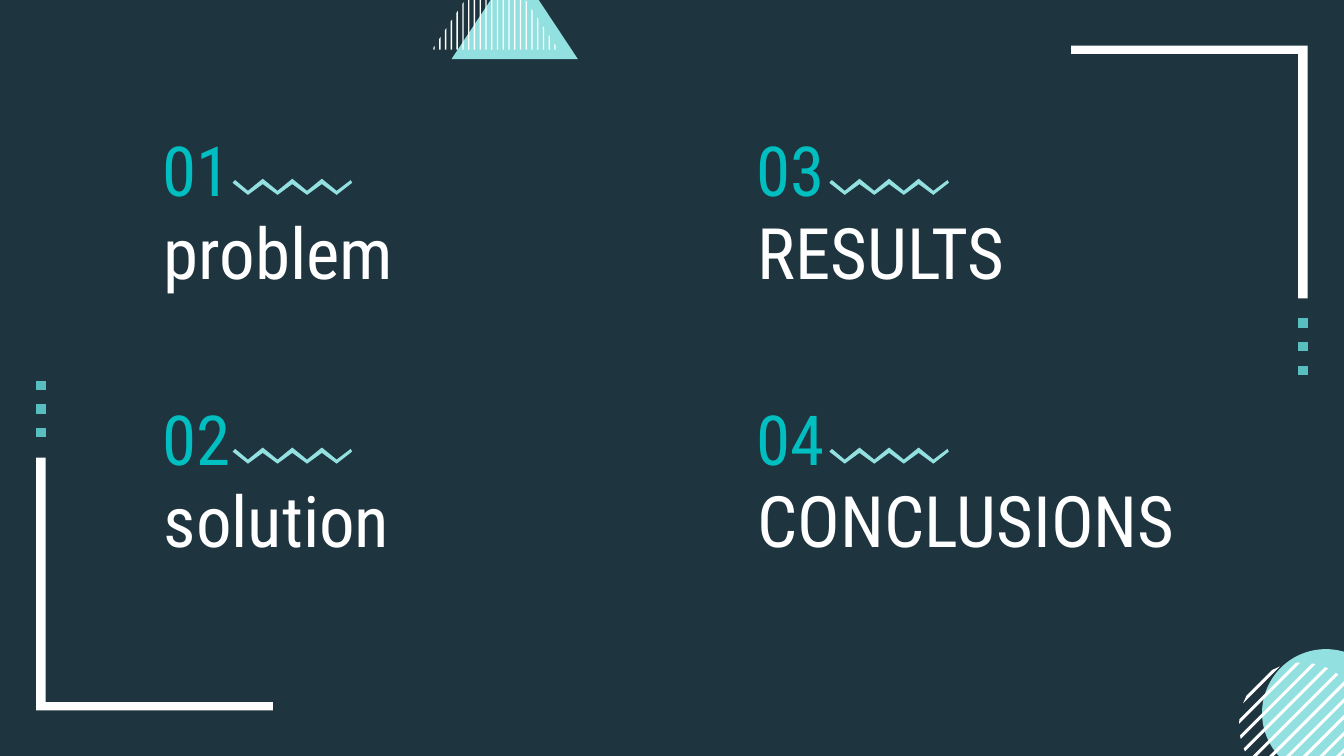
import math

from pptx import Presentation
from pptx import util as u
from pptx.dml.color import RGBColor
from pptx.enum import shapes, text

NAVY = RGBColor(0x1E, 0x34, 0x3F)
WHITE = RGBColor(0xFF, 0xFF, 0xFF)
TEAL = RGBColor(0x01, 0xBE, 0xC0)
AQUA = RGBColor(0x92, 0xE0, 0xE0)
DOT_TEAL = RGBColor(0x58, 0xBE, 0xBF)
FONT = "Roboto Condensed"
WIDTH, HEIGHT = 10, 5.625

TOPICS = [("01", "problem"), ("02", "solution"),
          ("03", "RESULTS"), ("04", "CONCLUSIONS")]
COLUMNS = [(1.11, 3.39, 0.62), (5.53, 3.35, 0.64)]  # left, width, zigzag offset
FIRST_ROW, ROW_STEP = 1.07, 2


def paint(shape, color):
    shape.shadow.inherit = False
    shape.fill.solid()
    shape.fill.fore_color.rgb = color
    shape.line.fill.background()


def polygon(slide, points, color):
    """Draw a closed outline through points given in inches."""
    start, *rest = [(u.Inches(x), u.Inches(y)) for x, y in points]
    builder = slide.shapes.build_freeform(*start, scale=1.0)
    builder.add_line_segments(rest, close=True)
    paint(builder.convert_to_shape(), color)


def striped_triangle(slide, left, top, width, height):
    """Solid triangle with a second one in vertical stripes, up and left of it."""
    base = top + height
    polygon(slide, [(left, base), (left + width, base), (left + width / 2, top)], AQUA)

    half, count, bar = width / 2, 22, 0.01
    apex_x, stripe_base = left + half - 0.145, base - 0.07
    slope = height / half

    def edge(x):
        return stripe_base - slope * (half - abs(x - apex_x))

    pitch = (width - 0.04) / (count - 1)
    for i in range(count):
        x = apex_x - half + 0.01 + i * pitch
        polygon(slide, [(x, stripe_base), (x + bar, stripe_base),
                        (x + bar, edge(x + bar)), (x, edge(x))], WHITE)


def striped_circle(slide, left, top, size):
    """Solid disc with a second one in diagonal stripes, down and left of it."""
    disc = slide.shapes.add_shape(shapes.MSO_SHAPE.OVAL,
                                  *map(u.Inches, (left, top, size, size)))
    paint(disc, AQUA)

    radius = 0.465
    center_x, center_y = left + size / 2 - 0.18, top + size / 2 + 0.09
    pitch, thickness = 0.124, 0.032

    def chord(offset):
        """Ends of the diagonal x + y = centre sum + offset inside the circle."""
        reach = math.sqrt(radius ** 2 - offset ** 2 / 2) / math.sqrt(2)
        x, y = center_x + offset / 2, center_y + offset / 2
        return [(x - reach, y + reach), (x + reach, y - reach)]

    for i in range(10):
        offset = -0.63 + i * pitch
        polygon(slide, chord(offset) + chord(offset + thickness)[::-1], WHITE)


def frame_corner(slide, left, top, width, height, turned=False):
    """Top-right bracket with three dots below; turned gives the bottom-left one."""
    right, bottom = left + width, top + height
    bar, rail, dot, dot_step = 0.07, 0.06, 0.07, 0.175

    def place(points):
        if turned:
            return [(left + right - x, top + bottom - y) for x, y in points]
        return points

    inner, arm_end = right - bar, top + 1.88
    polygon(slide, place([(left, top), (left, top + rail), (inner, top + rail),
                          (inner, arm_end), (right, arm_end), (right, top)]), WHITE)
    for i in range(3):
        y = bottom - dot - i * dot_step
        polygon(slide, place([(inner, y), (inner, y + dot),
                              (right, y + dot), (right, y)]), DOT_TEAL)


def zigzag(slide, left, top):
    """Ribbon of four waves, 0.89 by 0.12 inches."""
    peaks = [(0.115 + 0.11 * i, i % 2) for i in range(7)]
    lower = [(0, 0.03)] + [(x, 0.04 if up else 0.12) for x, up in peaks] + [(0.89, 0.03)]
    upper = [(0.02, 0.01)] + [(x, 0 if up else 0.09) for x, up in peaks] + [(0.88, 0.01)]
    polygon(slide, [(left + x, top + y) for x, y in lower + upper[::-1]], AQUA)


def label(slide, words, box, size, color):
    frame = slide.shapes.add_textbox(*map(u.Inches, box)).text_frame
    frame.word_wrap = True
    frame.vertical_anchor = text.MSO_ANCHOR.MIDDLE
    frame.margin_left = frame.margin_right = u.Inches(0.1)
    frame.margin_top = frame.margin_bottom = u.Inches(0.1)
    frame.text = words
    font = frame.paragraphs[0].runs[0].font
    font.name, font.size, font.color.rgb = FONT, u.Pt(size), color


def topic(slide, number, title, left, top, width, zigzag_offset):
    label(slide, title, (left + 0.01, top + 0.36, width, 0.87), 38, WHITE)
    label(slide, number, (left, top, width, 0.38), 37, TEAL)
    zigzag(slide, left + zigzag_offset, top + 0.26)


def main():
    deck = Presentation()
    deck.slide_width, deck.slide_height = u.Inches(WIDTH), u.Inches(HEIGHT)
    slide = deck.slides.add_slide(deck.slide_layouts[6])
    slide.background.fill.solid()
    slide.background.fill.fore_color.rgb = NAVY

    # Decoration
    striped_triangle(slide, 3.36, -0.27, 0.94, 0.71)
    striped_circle(slide, 9.39, 4.83, 0.95)
    corner_w, corner_h, margin_x, margin_y = 1.76, 2.45, 0.27, 0.34
    frame_corner(slide, WIDTH - margin_x - corner_w, margin_y, corner_w, corner_h)
    frame_corner(slide, margin_x, HEIGHT - margin_y - corner_h,
                 corner_w, corner_h, turned=True)

    # Topics, filled column by column
    for i, (number, title) in enumerate(TOPICS):
        column, row = divmod(i, 2)
        left, width, zigzag_offset = COLUMNS[column]
        topic(slide, number, title, left, FIRST_ROW + row * ROW_STEP,
              width, zigzag_offset)

    deck.save("out.pptx")


if __name__ == "__main__":
    main()
